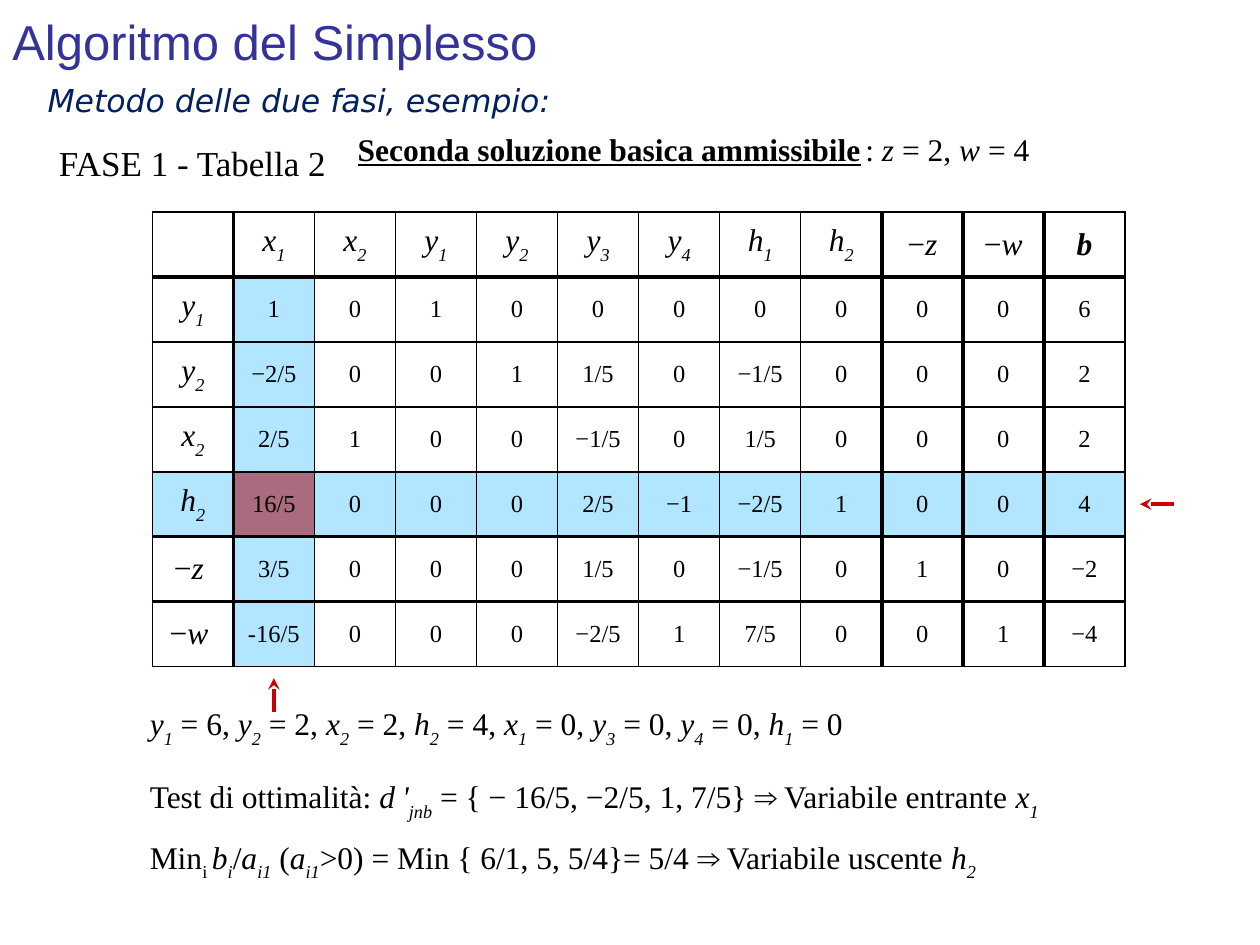
from collections import namedtuple
from dataclasses import dataclass

from lxml import etree
from pptx import Presentation
from pptx import util as u
from pptx.dml.color import RGBColor
from pptx.enum import shapes, text
from pptx.oxml import ns

Box = namedtuple("Box", "left top width height")


@dataclass(frozen=True)
class Theme:
    """Colours, fonts, sizes and line widths of the slide."""
    ink: str = "000000"
    title: str = "333399"
    subtitle: str = "002060"
    highlight: str = "66CCFF"
    accent: str = "CC0000"
    serif: str = "Times New Roman"
    sans: str = "Arial"
    subtitle_font: str = "DejaVu Sans"
    title_size: float = 28
    phase_size: float = 20
    body_size: float = 18
    gap_size: float = 16
    value_size: float = 14
    thin: float = 1
    thick: float = 2.25


THEME = Theme()
SUBSCRIPT = "-30000"
HEADERS = ["", "x1", "x2", "y1", "y2", "y3", "y4", "h1", "h2", "−z", "−w", "b"]
TABLEAU = [
    ("y1", "1 0 1 0 0 0 0 0 0 0 6"),
    ("y2", "−2/5 0 0 1 1/5 0 −1/5 0 0 0 2"),
    ("x2", "2/5 1 0 0 −1/5 0 1/5 0 0 0 2"),
    ("h2", "16/5 0 0 0 2/5 −1 −2/5 1 0 0 4"),
    ("−z ", "3/5 0 0 0 1/5 0 −1/5 0 1 0 −2"),
    ("−w ", "-16/5 0 0 0 −2/5 1 7/5 0 0 1 −4"),
]
PIVOT_ROW, PIVOT_COLUMN = 4, 1
THICK_ROW_EDGES = {1, 5, 6}
THICK_COLUMN_EDGES = {1, 9, 10, 11}
BASIC_VALUES = [("y", "1", "6"), ("y", "2", "2"), ("x", "2", "2"), ("h", "2", "4"),
                ("x", "1", "0"), ("y", "3", "0"), ("y", "4", "0"), ("h", "1", "0")]


def variable(letter, index):
    """Return the runs of an italic variable with its subscript."""
    return [(letter, "i"), (index, "is")]


def label_runs(label):
    """Return the runs of a row or column heading of the tableau."""
    if label.startswith("−"):
        return [("−", ""), (label[1:], "i")]
    if label == "b":
        return [(label, "bi")]
    return variable(*label) if label else []


def write_runs(paragraph, runs, size, font=THEME.serif, colour=THEME.ink):
    """Add runs given as text, style letters (b, i, u, s) and an optional size."""
    for words, style, *own_size in runs:
        run = paragraph.add_run()
        run.text = words
        run.font.name = font
        run.font.size = u.Pt(own_size[0] if own_size else size)
        run.font.color.rgb = RGBColor.from_string(colour)
        run.font.bold = "b" in style
        run.font.italic = "i" in style
        run.font.underline = "u" in style
        if "s" in style:
            run.font._element.set("baseline", SUBSCRIPT)


def add_line_of_text(slide, box, runs, size, font=THEME.serif, colour=THEME.ink,
                     align=text.PP_ALIGN.LEFT, anchor=text.MSO_ANCHOR.TOP):
    """Place one paragraph of text in the box."""
    frame = slide.shapes.add_textbox(*map(u.Cm, box)).text_frame
    frame.word_wrap = True
    frame.vertical_anchor = anchor
    frame.paragraphs[0].alignment = align
    write_runs(frame.paragraphs[0], runs, size, font, colour)


def add_tint(slide, box, colour):
    """Place a half-transparent rectangle in the box."""
    tint = slide.shapes.add_shape(shapes.MSO_SHAPE.RECTANGLE, *map(u.Cm, box))
    tint.shadow.inherit = False
    tint.line.fill.background()
    tint.fill.solid()
    tint.fill.fore_color.rgb = RGBColor.from_string(colour)
    shade = tint._element.spPr.find(".//" + ns.qn("a:srgbClr"))
    etree.SubElement(shade, ns.qn("a:alpha"), val="50000")


def add_arrow(slide, tip_x, tip_y, tail_x, tail_y):
    """Draw a red pivot arrow whose head lies at its tip."""
    arrow = slide.shapes.add_connector(
        shapes.MSO_CONNECTOR.STRAIGHT, *map(u.Cm, (tip_x, tip_y, tail_x, tail_y)))
    arrow.line.color.rgb = RGBColor.from_string(THEME.accent)
    arrow.line.width = u.Pt(THEME.thick)
    etree.SubElement(arrow.line._get_or_add_ln(), ns.qn("a:headEnd"), type="stealth")
    etree.SubElement(arrow._element.spPr, ns.qn("a:effectLst"))


def set_borders(cell, row, column):
    """Draw the four borders of a tableau cell, thick at the block edges."""
    edges = {"lnL": column in THICK_COLUMN_EDGES, "lnR": column + 1 in THICK_COLUMN_EDGES,
             "lnT": row in THICK_ROW_EDGES, "lnB": row + 1 in THICK_ROW_EDGES}
    properties = cell._tc.get_or_add_tcPr()
    for edge, is_thick in edges.items():
        width = u.Pt(THEME.thick if is_thick else THEME.thin)
        border = etree.SubElement(properties, ns.qn("a:" + edge), w=str(width))
        fill = etree.SubElement(border, ns.qn("a:solidFill"))
        etree.SubElement(fill, ns.qn("a:srgbClr"), val=THEME.ink)


def add_tableau(slide, box):
    """Place the simplex tableau with its pivot highlights and arrows."""
    rows, columns = len(TABLEAU) + 1, len(HEADERS)
    cell_w, cell_h = box.width / columns, box.height / rows
    pivot_x = box.left + PIVOT_COLUMN * cell_w
    pivot_y = box.top + PIVOT_ROW * cell_h
    add_tint(slide, Box(box.left, pivot_y, box.width, cell_h), THEME.highlight)
    add_tint(slide, Box(pivot_x, box.top + cell_h, cell_w, box.height - cell_h),
             THEME.highlight)
    add_tint(slide, Box(pivot_x, pivot_y, cell_w, cell_h), THEME.accent)

    bottom, right = box.top + box.height, box.left + box.width
    middle_x, middle_y = pivot_x + cell_w / 2, pivot_y + cell_h / 2
    add_arrow(slide, middle_x, bottom + 0.23, middle_x, bottom + 0.92)
    add_arrow(slide, right + 0.3, middle_y, right + 0.99, middle_y)

    tableau = slide.shapes.add_table(rows, columns, *map(u.Cm, box)).table
    tableau.first_row = tableau.horz_banding = False
    for column in tableau.columns:
        column.width = u.Cm(cell_w)
    for row in tableau.rows:
        row.height = u.Cm(cell_h)
    lines = [HEADERS] + [[label, *values.split()] for label, values in TABLEAU]
    for r, line in enumerate(lines):
        for c, entry in enumerate(line):
            cell = tableau.cell(r, c)
            set_borders(cell, r, c)
            cell.fill.background()
            cell.vertical_anchor = text.MSO_ANCHOR.MIDDLE
            paragraph = cell.text_frame.paragraphs[0]
            paragraph.alignment = text.PP_ALIGN.CENTER
            if r == 0 or c == 0:
                write_runs(paragraph, label_runs(entry), THEME.body_size)
            else:
                write_runs(paragraph, [(entry, "")], THEME.value_size)


def add_heading(slide, box):
    """Place the title, the subtitle, the phase and the current solution."""
    add_line_of_text(slide, Box(box.left, box.top, box.width, 1.8),
                     [("Algoritmo del Simplesso", "")], THEME.title_size,
                     THEME.sans, THEME.title, anchor=text.MSO_ANCHOR.MIDDLE)
    add_line_of_text(slide, Box(box.left + 0.71, box.top + 1.58, 21.64, 1.02),
                     [("Metodo delle due fasi, esempio:", "i")], THEME.body_size,
                     THEME.subtitle_font, THEME.subtitle)
    add_line_of_text(slide, Box(box.left + 0.94, box.top + 2.8, 10.08, 1.09),
                     [("FASE 1 - Tabella 2", "")], THEME.phase_size)
    solution = [("Seconda soluzione basica ammissibile", "bu"), (" ", "is"), (": ", ""),
                ("z", "i"), (" = 2, ", ""), ("w", "i"), (" = 4", "")]
    add_line_of_text(slide, Box(box.left + 6.96, box.top + 2.57, 17.22, 1.27),
                     solution, THEME.body_size)


def add_conclusions(slide, box):
    """Place the basic solution, the optimality test and the ratio test."""
    values = []
    for letter, index, value in BASIC_VALUES:
        separator = [(", ", "")] if values else []
        values += separator + variable(letter, index) + [(f" = {value}", "")]
    optimality = [("Test di ottimalità: ", ""), ("d", "i"), (" ", "i", THEME.gap_size),
                  ("'", "i"), ("jnb", "is"),
                  (" = { − 16/5, −2/5, 1, 7/5} ⇒ Variabile entrante ", ""),
                  *variable("x", "1")]
    ratio = [("Min", ""), ("i ", "s"), *variable("b", "i"), ("/", ""),
             *variable("a", "i1"), (" (", ""), *variable("a", "i1"),
             (">0) = Min { 6/1, 5, 5/4}= 5/4 ⇒ Variabile uscente ", ""),
             *variable("h", "2")]
    for offset, runs in ((0, values), (1.47, optimality), (2.69, ratio)):
        add_line_of_text(slide, Box(box.left, box.top + offset, box.width, 1.02),
                         runs, THEME.body_size, align=text.PP_ALIGN.JUSTIFY)


def main():
    """Build the slide and save it."""
    deck = Presentation()
    deck.slide_width, deck.slide_height = u.Cm(25.4), u.Cm(19.05)
    slide = deck.slides.add_slide(deck.slide_layouts[6])
    add_tableau(slide, Box(3.07, 4.27, 19.61, 9.17))
    add_heading(slide, Box(0, -0.08, 22.86, 3.9))
    add_conclusions(slide, Box(2.77, 14.07, 21.92, 3.71))
    deck.save("out.pptx")


if __name__ == "__main__":
    main()
